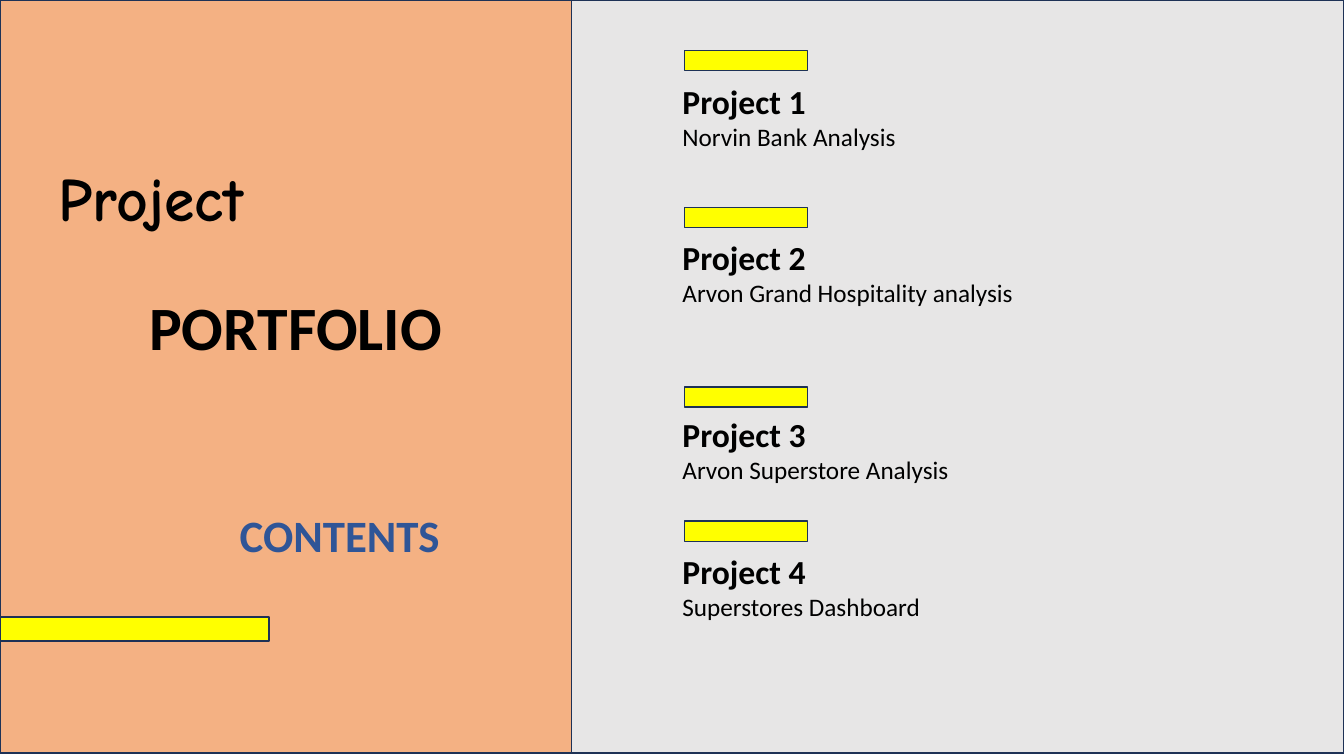
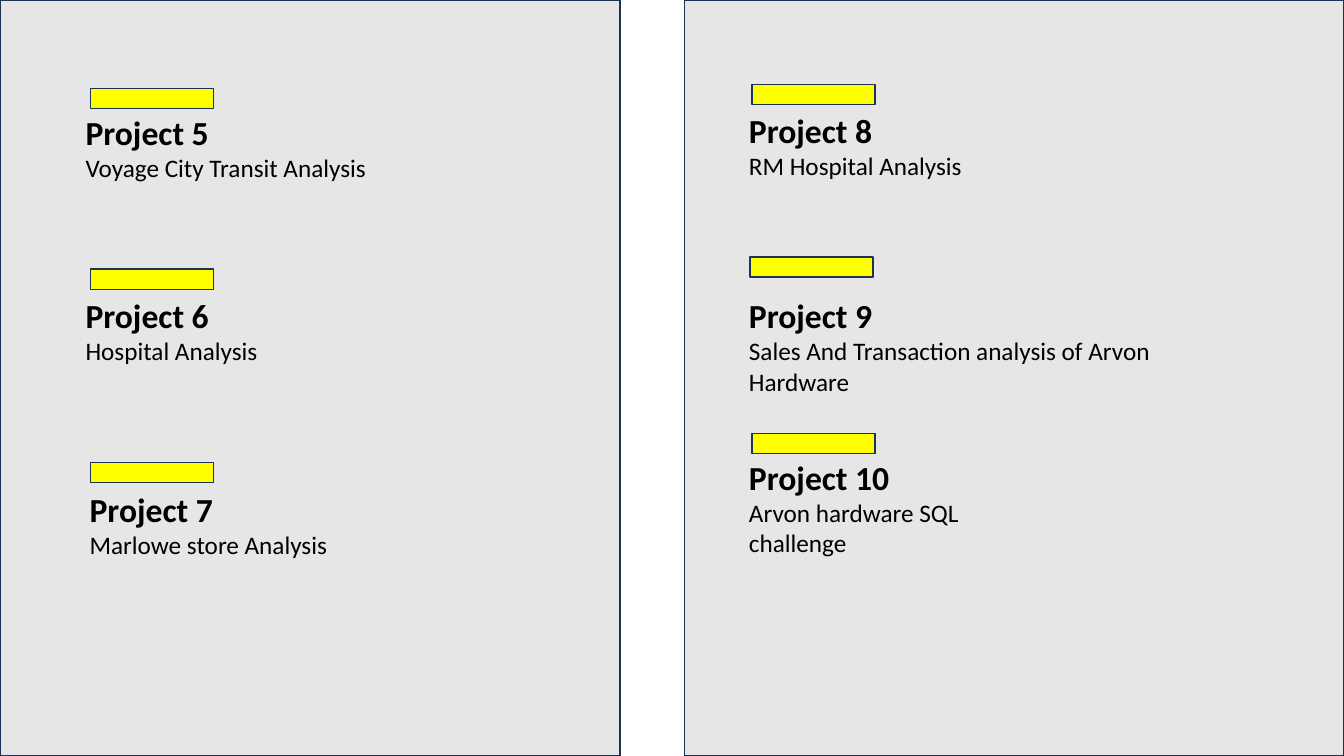
from pptx import Presentation
from pptx.dml.color import RGBColor
from pptx.enum.shapes import MSO_SHAPE as Shape
from pptx.enum.text import MSO_ANCHOR as Anchor, MSO_AUTO_SIZE as Fit, PP_ALIGN as Align
from pptx.util import Inches, Pt

PEACH, GREY, YELLOW = "F4B183", "E7E6E6", "FFFF00"
NAVY, BLUE, BLACK = "1E3256", "2F5597", "000000"
TITLE_ONLY, BLANK = 5, 6

HEAD = dict(size=24, bold=True)
BODY = dict(size=18, bold=False)
BIG = dict(size=44, bold=True)
SCRIPT = dict(BIG, name="Comic Neue")
LABEL = dict(size=32, bold=True, color=BLUE)

TAG = (1.22, 0.2)
ITEM_H = 0.81

# Panels: left, top, width, height, fill
COVER = [(0, 0, 5.75, 7.47, PEACH), (5.67, 0, 7.66, 7.47, GREY)]
PAGE = [(0, 0, 6.15, 7.5, GREY), (6.79, 0, 6.54, 7.5, GREY)]

# Projects: number, topic, text left, top, width, tag left, top
FIRST = [
    (1, "Norvin Bank Analysis", 6.67, 0.75, 3.32, 6.79, 0.5),
    (2, "Arvon Grand Hospitality analysis", 6.67, 2.3, 3.75, 6.79, 2.06),
    (3, "Arvon Superstore Analysis", 6.67, 4.06, 3.95, 6.79, 3.84),
    (4, "Superstores Dashboard", 6.67, 5.42, 3.48, 6.79, 5.17),
]
SECOND = [
    (5, "Voyage City Transit Analysis", 0.75, 1.06, 4.04, 0.9, 0.88),
    (6, "Hospital Analysis", 0.75, 2.88, 3.67, 0.9, 2.67),
    (7, "Marlowe store Analysis", 0.79, 4.8, 4.22, 0.9, 4.59),
    (8, "RM Hospital Analysis", 7.33, 1.04, 3.74, 7.46, 0.84),
    (9, "Sales And Transaction analysis of Arvon Hardware",
     7.33, 2.88, 4.67, 7.44, 2.55),
    (10, "Arvon hardware SQL challenge", 7.33, 4.48, 3.02, 7.46, 4.3),
]


def rgb(code):
    return RGBColor.from_string(code)


def box(slide, x, y, w, h, fill):
    rect = slide.shapes.add_shape(Shape.RECTANGLE, *map(Inches, (x, y, w, h)))
    rect.shadow.inherit = False
    rect.fill.solid()
    rect.fill.fore_color.rgb = rgb(fill)
    rect.line.color.rgb = rgb(NAVY)
    rect.line.width = Pt(1)


def write(frame, lines, align=Align.LEFT):
    """Fill a text frame with (text, format) lines, one per paragraph."""
    frame.word_wrap = True
    frame.auto_size = Fit.NONE
    frame.vertical_anchor = Anchor.TOP
    for i, (text, form) in enumerate(lines):
        para = frame.add_paragraph() if i else frame.paragraphs[0]
        para.alignment = align
        run = para.add_run()
        run.text = text
        look = dict(name="Calibri", color=BLACK) | form
        run.font.color.rgb = rgb(look.pop("color"))
        look["size"] = Pt(look["size"])
        for key, value in look.items():
            setattr(run.font, key, value)


def note(slide, x, y, w, h, lines, align=Align.LEFT):
    area = slide.shapes.add_textbox(*map(Inches, (x, y, w, h)))
    write(area.text_frame, lines, align)


def build(deck, layout, panels, items):
    slide = deck.slides.add_slide(deck.slide_layouts[layout])
    for panel in panels:
        box(slide, *panel)
    for num, topic, x, y, w, tag_x, tag_y in items:
        note(slide, x, y, w, ITEM_H, [(f"Project {num}", HEAD), (topic, BODY)])
        box(slide, tag_x, tag_y, *TAG, YELLOW)
    return slide


def set_title(slide):
    title = slide.shapes.title
    place = dict(left=0.48, top=1.54, width=4.88, height=2.12)
    for key, value in place.items():
        setattr(title, key, Inches(value))
    write(title.text_frame, [("Project", SCRIPT), ("PORTFOLIO", BIG)])
    last = title.text_frame.paragraphs[1]
    last.space_before = Pt(39)
    last.line_spacing = 1.0
    last._p.get_or_add_pPr().set("marL", str(Inches(0.9)))
    # The title must lie in front of the panels
    slide.shapes.element.append(title.element)


def main():
    deck = Presentation()
    deck.slide_width, deck.slide_height = Inches(13.33), Inches(7.5)

    cover = build(deck, TITLE_ONLY, COVER, FIRST)
    set_title(cover)
    box(cover, 0, 6.12, 2.67, 0.24, YELLOW)
    note(cover, 1.92, 4.99, 2.9, 0.64, [("CONTENTS", LABEL)], Align.CENTER)

    build(deck, BLANK, PAGE, SECOND)
    deck.save("out.pptx")


if __name__ == "__main__":
    main()
